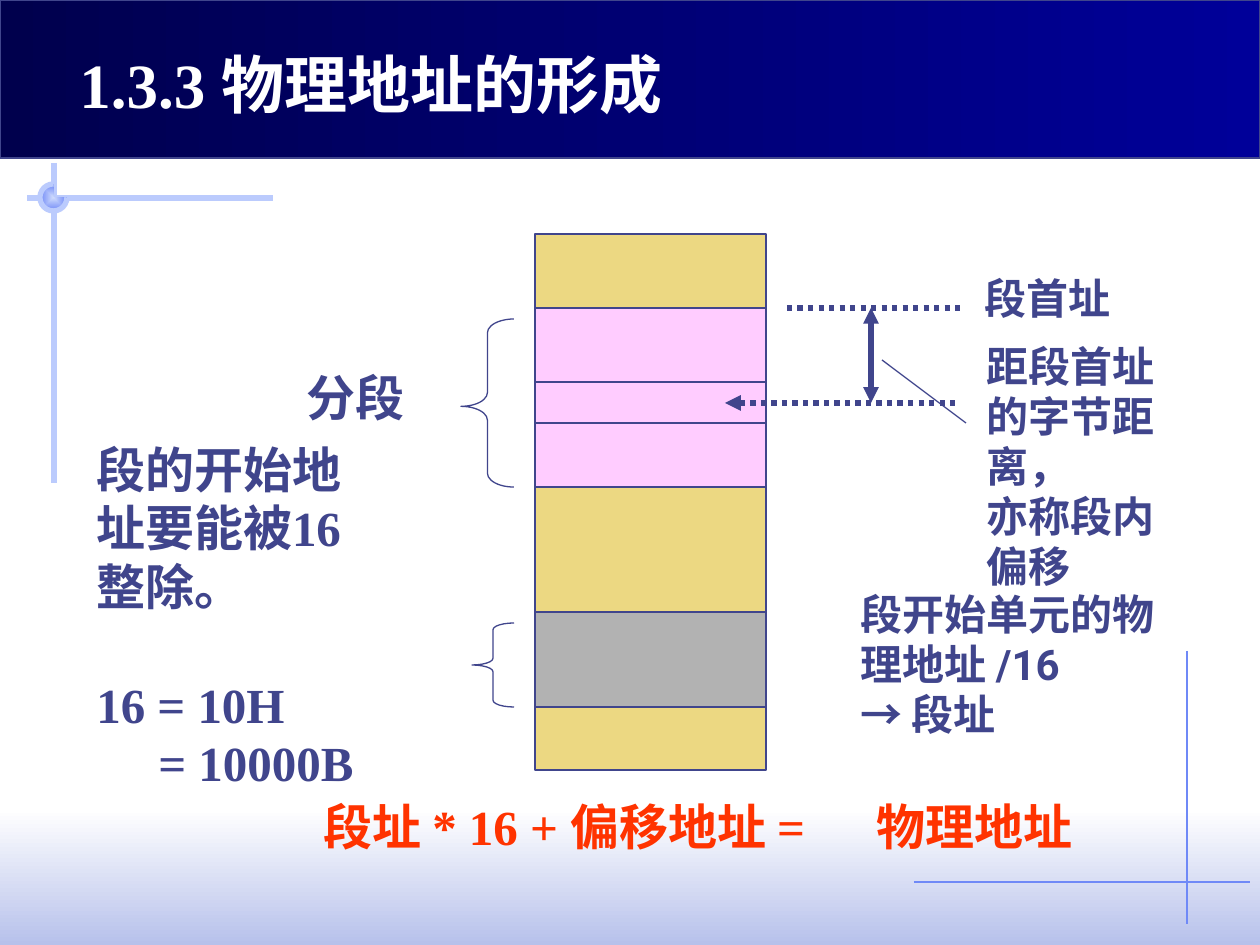
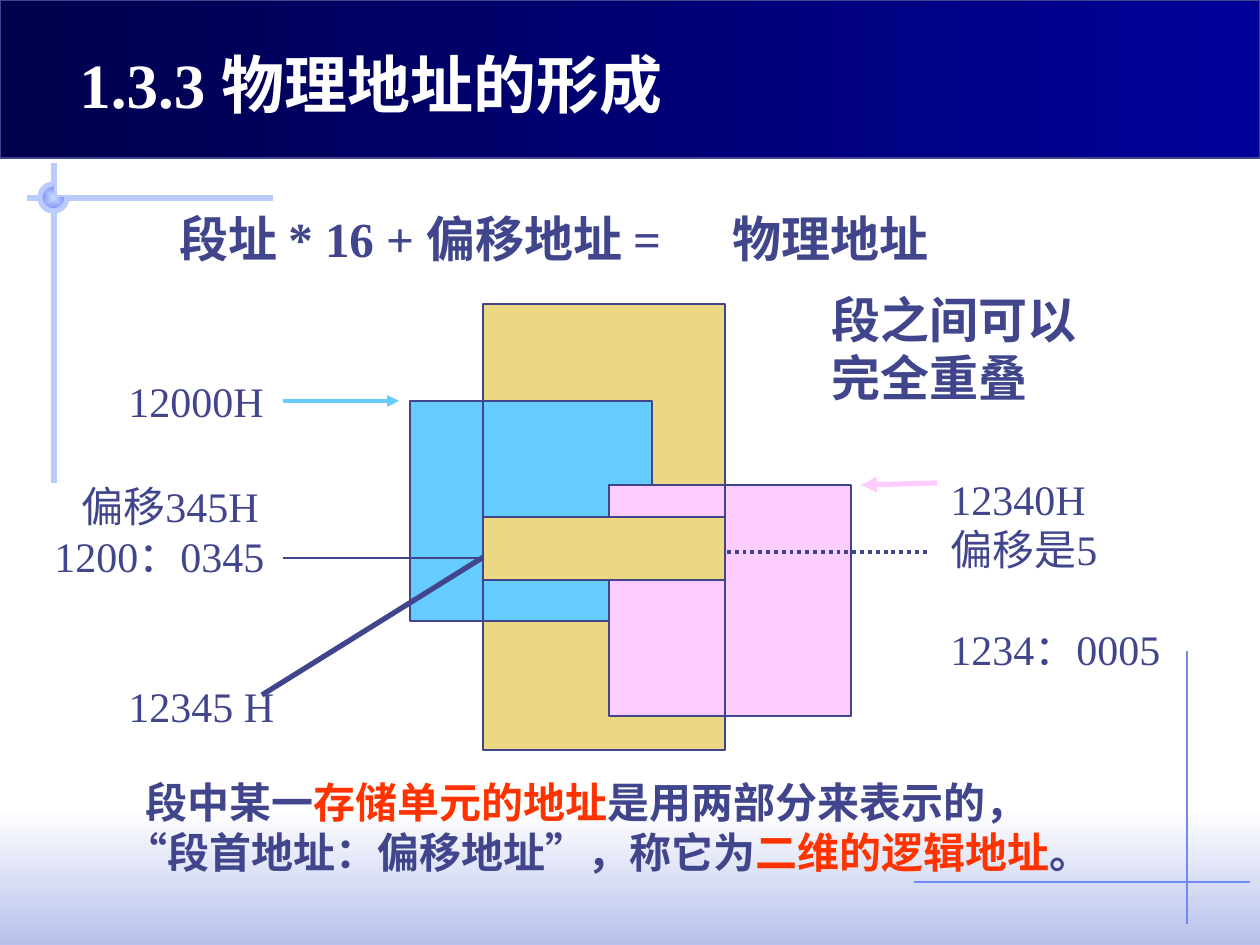
from collections import namedtuple

from lxml.etree import SubElement
from pptx import Presentation
from pptx.dml.color import RGBColor
from pptx.enum.dml import MSO_LINE
from pptx.enum.shapes import MSO_CONNECTOR, MSO_SHAPE as Preset
from pptx.enum.text import MSO_ANCHOR
from pptx.oxml.ns import qn
from pptx.util import Emu, Pt

WHITE = RGBColor(0xFF, 0xFF, 0xFF)
INK = RGBColor(0x40, 0x45, 0x8C)
RED = RGBColor(0xFF, 0x33, 0x00)
SAND = RGBColor(0xEC, 0xD8, 0x82)
PINK = RGBColor(0xFF, 0xCC, 0xFF)
GREY = RGBColor(0xB2, 0xB2, 0xB2)
SKY = RGBColor(0x66, 0xCC, 0xFF)
NIGHT = RGBColor(0x00, 0x00, 0x4D)
NAVY = RGBColor(0x00, 0x00, 0x99)
MIST = RGBColor(0xB7, 0xC1, 0xEB)
PALE = RGBColor(0xCF, 0xDB, 0xFD)
RAIL = RGBColor(0xBB, 0xCB, 0xFD)
THREAD = RGBColor(0x6F, 0x89, 0xF7)

SERIF, SANS, SYMBOL, CHINESE = "Times New Roman", "Roboto", "Arial", "Noto Sans CJK SC"
TITLE = "1.3.3 物理地址的形成"
FORMULA = "段址 * 16 + 偏移地址 =\t物理地址"
WIDTH, HEIGHT = 1260, 945
LINE_PITCH = 1.19

Span = namedtuple("Span", "text font color", defaults=(SERIF, None))
Line = namedtuple("Line", "spans indent gap tab", defaults=(0, 0, 0))


def px(length):
    return Emu(round(length * 914400 / 126))


def add_shape(page, box, fill=None, line=INK, weight=0.75, preset=Preset.RECTANGLE):
    shape = page.shapes.add_shape(preset, *map(px, box))
    shape.shadow.inherit = False
    if fill is None:
        shape.fill.background()
    else:
        shape.fill.solid()
        shape.fill.fore_color.rgb = fill
    if line is None:
        shape.line.fill.background()
    else:
        shape.line.color.rgb = line
        shape.line.width = Pt(weight)
    return shape


def add_gradient(shape, first, last, angle=0):
    shape.fill.gradient()
    shape.fill.gradient_angle = angle
    for stop, color, position in zip(shape.fill.gradient_stops, (first, last), (0, 1)):
        stop.color.rgb = color
        stop.position = position


def make_gradient_rectangular(shape):
    gradient = shape._element.spPr.find(qn("a:gradFill"))
    gradient.remove(gradient.find(qn("a:lin")))
    center = SubElement(gradient, qn("a:path"), path="rect")
    SubElement(center, qn("a:fillToRect"), l="50000", t="50000", r="50000", b="50000")


def add_line(page, start, end, color=INK, weight=0.75, dotted=False, head=False, tail=False):
    line = page.shapes.add_connector(MSO_CONNECTOR.STRAIGHT, *map(px, start + end))
    line.line.color.rgb = color
    line.line.width = Pt(weight)
    if dotted:
        line.line.dash_style = MSO_LINE.ROUND_DOT
    outline = line.line._get_or_add_ln()
    for shown, tag in ((head, "a:headEnd"), (tail, "a:tailEnd")):
        if shown:
            SubElement(outline, qn(tag), type="triangle")
    SubElement(line._element.spPr, qn("a:effectLst"))


def add_text(page, box, lines, size, color=INK, bold=True):
    frame = page.shapes.add_textbox(*map(px, box)).text_frame
    frame.word_wrap = True
    frame.vertical_anchor = MSO_ANCHOR.TOP
    for index, line in enumerate(lines):
        if isinstance(line, str):
            line = Line([Span(line)])
        para = frame.add_paragraph() if index else frame.paragraphs[0]
        para.line_spacing = Pt(size * LINE_PITCH)
        if line.gap:
            para.space_before = px(line.gap)
        properties = para._p.get_or_add_pPr()
        if line.indent:
            properties.set("marL", "0")
            properties.set("indent", str(px(line.indent)))
        if line.tab:
            tabs = SubElement(properties, qn("a:tabLst"))
            SubElement(tabs, qn("a:tab"), pos=str(px(line.tab)), algn="l")
        for span in line.spans:
            run = para.add_run()
            run.text = span.text
            run.font.size = Pt(size)
            run.font.bold = bold
            run.font.color.rgb = span.color or color
            run.font.name = span.font
            SubElement(run._r.get_or_add_rPr(), qn("a:ea"), typeface=CHINESE)


def add_formula(page, left, top, color):
    add_text(page, (left, top, 784, 72), [Line([Span(FORMULA)], tab=553)], 28, color)


def draw_node(page, box):
    pie = add_shape(page, box, PALE, None, preset=Preset.PIE)
    add_gradient(pie, PALE, THREAD)
    make_gradient_rectangular(pie)
    arc = add_shape(page, box, None, RAIL, 3, Preset.ARC)
    arc.adjustments[0] = 0
    arc.adjustments[1] = 162


def draw_frame(page, box):
    left, top, width, height = box
    bottom = top + height
    glow = add_shape(page, (left, bottom - 136, width, 136), WHITE, None)
    add_gradient(glow, WHITE, MIST, 270)
    add_line(page, (left + 1187, top + 651), (left + 1187, top + 924), THREAD)
    add_line(page, (left + 273, top + 198), (left + 27, top + 198), RAIL, 3)
    add_line(page, (left + 54, top + 163), (left + 54, top + 483), RAIL, 3)
    draw_node(page, (left + 40, top + 184, 27, 27))
    band = add_shape(page, (left, top, width, 158), NIGHT)
    add_gradient(band, NIGHT, NAVY)
    add_line(page, (left + 914, top + 882), (left + 1250, top + 882), THREAD)
    add_text(page, (left + 67, top + 40, 640, 88), [TITLE], 36, WHITE)


def draw_segmented_memory(page, box):
    left, top, width, height = box
    add_shape(page, box, SAND)
    add_shape(page, (left, top + 74, width, 179), PINK)
    add_shape(page, (left, top + 378, width, 95), GREY)
    for offset in (148, 189):
        add_line(page, (left, top + offset), (left + width, top + offset))
    braces = (((left - 74, top + 85, 53, 168), 0.26, 0.52),
              ((left - 63, top + 389, 42, 84), 0.16, 0.5))
    for brace_box, curl, tip in braces:
        brace = add_shape(page, brace_box, preset=Preset.LEFT_BRACE)
        brace.adjustments[0] = curl
        brace.adjustments[1] = tip
    add_text(page, (left - 241, top + 128, 132, 72), ["分段"], 28)


def draw_offset_callout(page, box):
    left, top, width, height = box
    base, unit, arrow = top + 42, top + 137, left + 146
    add_line(page, (left + 62, base), (left + 240, base), weight=3, dotted=True)
    add_line(page, (arrow, base), (arrow, unit), weight=3, head=True, tail=True)
    add_line(page, (left, unit), (left + 230, unit), weight=3, dotted=True, head=True)
    add_text(page, (left + 247, top + 1, 160, 63), ["段首址"], 24)
    add_text(page, (left + 249, top + 69, 212, 265), ["距段首址的字节距离，", "亦称段内偏移"], 24)
    add_line(page, (left + 157, top + 94), (left + 241, top + 157))


def draw_overlapping_segments(page, box):
    left, top, width, height = box
    right = left + width
    add_shape(page, box, SAND)
    add_shape(page, (left - 73, top + 97, width, 220), SKY)
    add_shape(page, (left + 126, top + 181, width, 231), PINK)
    add_line(page, (left, top + 97), (left, top + 317))
    add_line(page, (right, top + 181), (right, top + 423))
    add_line(page, (left - 221, top + 391), (left + 31, top + 234), weight=3, tail=True)
    add_line(page, (left + 454, top + 179), (left + 378, top + 181), PINK, 3, tail=True)
    add_line(page, (left + 236, top + 248), (left + 444, top + 248), weight=2.25, dotted=True)
    add_line(page, (left - 200, top + 97), (left - 84, top + 97), SKY, 2.25, tail=True)
    add_line(page, (left - 200, top + 254), (left + 84, top + 254))
    add_shape(page, (left, top + 213, width, 63), SAND)


def draw_address_labels(page, box):
    left, top, width, height = box
    for offset, address in ((0, "12000H"), (305, "12345 H")):
        add_text(page, (left + 74, top + offset, 180, 63), [address], 24, bold=False)
    offset_line = Line([Span("偏移345H")], indent=27)
    add_text(page, (left, top + 105, 287, 113), [offset_line, "1200：0345"], 24, bold=False)
    logical = Line([Span("1234：0005")], gap=50)
    add_text(page, (left + width - 264, top + 98, 264, 214), ["12340H", "偏移是5", logical],
             24, bold=False)


def draw_logical_address_note(page, box):
    first = Line([Span("段中某一", CHINESE), Span("存储单元的地址", CHINESE, RED),
                  Span("是用两部分来表示的，", CHINESE)], indent=20)
    second = Line([Span("“"), Span("段首地址：偏移地址", CHINESE), Span("”"),
                   Span("，称它为", CHINESE), Span("二维的逻辑地址", CHINESE, RED),
                   Span("。", CHINESE)])
    add_text(page, box, [first, second], 24)


def build_segment_page(page):
    draw_frame(page, (0, 0, WIDTH, HEIGHT))
    draw_segmented_memory(page, (535, 234, 231, 536))
    draw_offset_callout(page, (725, 266, 461, 333))
    add_text(page, (84, 434, 287, 365),
             ["段的开始地址要能被16整除。", Line([Span("16 = 10H")], gap=60),
              Line([Span("= 10000B")], indent=62)], 28)
    add_formula(page, 311, 791, RED)
    add_text(page, (848, 583, 340, 164),
             [Line([Span("段开始单元的物理地址 /16", SANS)]),
              Line([Span("→ ", SYMBOL), Span("段址", SANS)])], 24)


def build_overlap_page(page):
    draw_frame(page, (0, 0, WIDTH, HEIGHT))
    add_formula(page, 167, 203, INK)
    draw_overlapping_segments(page, (483, 304, 242, 446))
    draw_address_labels(page, (42, 370, 1160, 368))
    add_text(page, (819, 284, 273, 131), ["段之间可以完全重叠"], 28)
    draw_logical_address_note(page, (113, 771, 993, 113))


def main():
    deck = Presentation()
    deck.slide_width, deck.slide_height = px(WIDTH), px(HEIGHT)
    for build in (build_segment_page, build_overlap_page):
        build(deck.slides.add_slide(deck.slide_layouts[6]))
    deck.save("out.pptx")


if __name__ == "__main__":
    main()
